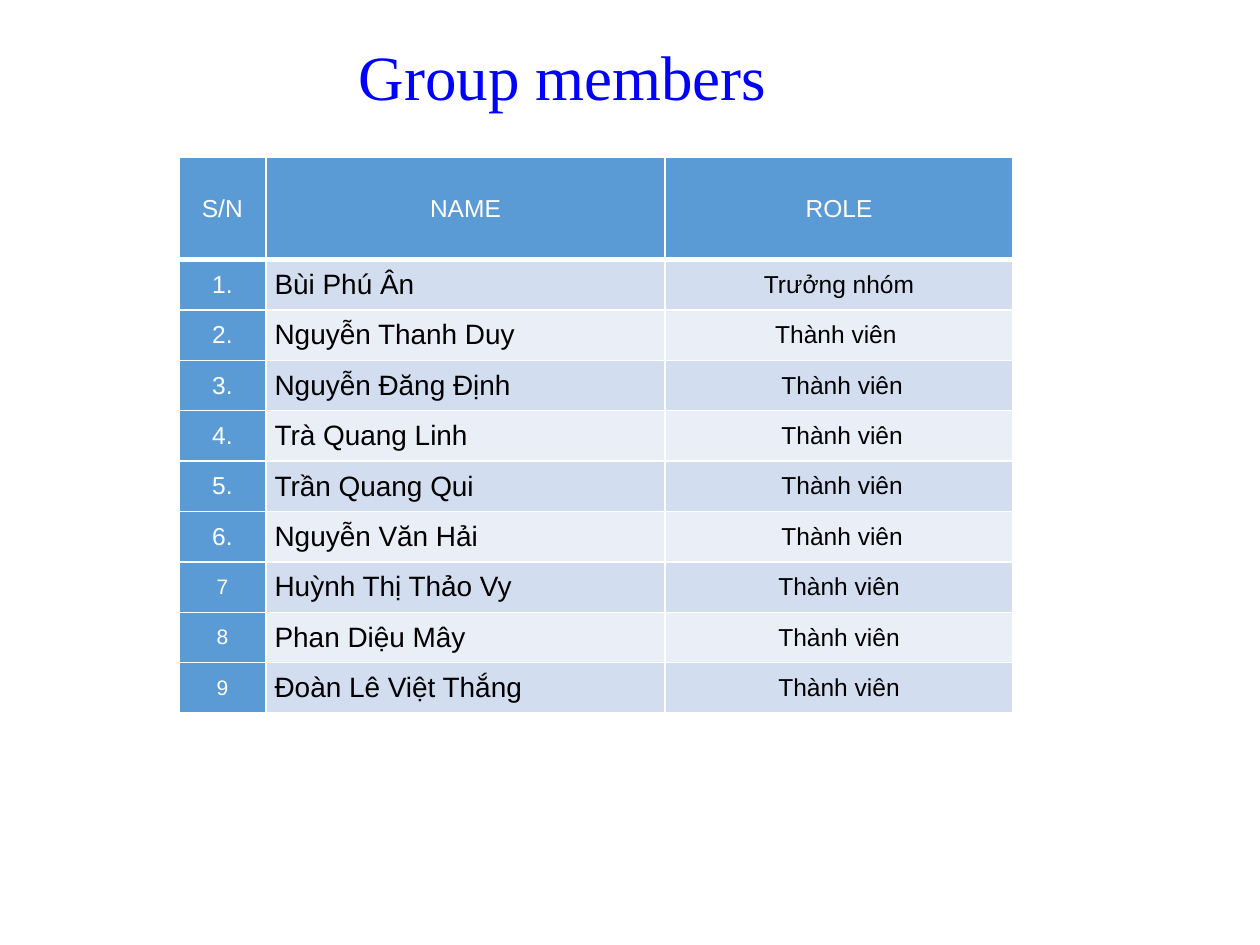
import pptx
import pptx.util
import pptx.dml.color
import pptx.enum.text
import pptx.oxml.ns
import lxml.etree

Inches, Pt = pptx.util.Inches, pptx.util.Pt
ALIGN = pptx.enum.text.PP_ALIGN

COLORS = {
    "title": "0000FF",
    "head": "5B9BD5",
    "odd": "D2DEEF",
    "even": "EAEFF7",
    "white": "FFFFFF",
    "black": "000000",
}
HEADS = ["S/N", "NAME", "ROLE"]
MEMBER = "Thành viên"
# number, name, role, extra inset of the role (left, right) in inches
ROWS = [
    ("1.", "Bùi Phú Ân", "Trưởng nhóm", (0, 0)),
    ("2.", "Nguyễn Thanh Duy", MEMBER, (0, 0.05)),
    ("3.", "Nguyễn Đăng Định", MEMBER, (0.05, 0)),
    ("4.", "Trà Quang Linh", MEMBER, (0.05, 0)),
    ("5.", "Trần Quang Qui", MEMBER, (0.05, 0)),
    ("6.", "Nguyễn Văn Hải", MEMBER, (0.05, 0)),
    ("7", "Huỳnh Thị Thảo Vy", MEMBER, (0, 0)),
    ("8", "Phan Diệu Mây", MEMBER, (0, 0)),
    ("9", "Đoàn Lê Việt Thắng", MEMBER, (0, 0)),
]
WIDTHS = [0.69, 3.17, 2.76]
HEAD_H, ROW_H = 0.81, 0.4
INSET = 0.07


class Deck:
    def __init__(self):
        self.show = pptx.Presentation()
        self.show.slide_width, self.show.slide_height = Inches(10), Inches(7.5)
        self.slide = self.show.slides.add_slide(self.show.slide_layouts[6])

    def color(self, key):
        return pptx.dml.color.RGBColor.from_string(COLORS[key])

    def style(self, frame, size, color, font="Arial", align=ALIGN.LEFT):
        for para in frame.paragraphs:
            para.alignment = align
            for run in para.runs:
                run.font.name, run.font.size = font, Pt(size)
                run.font.color.rgb = self.color(color)

    def title(self, text, left, top, width, height):
        box = self.slide.shapes.add_textbox(
            Inches(left), Inches(top), Inches(width), Inches(height))
        frame = box.text_frame
        frame.word_wrap = False
        frame.auto_size = pptx.enum.text.MSO_AUTO_SIZE.SHAPE_TO_FIT_TEXT
        frame.text = text
        self.style(frame, 36, "title", "Times New Roman")

    def table(self, left, top, widths, heights):
        grid = self.slide.shapes.add_table(
            len(heights), len(widths), Inches(left), Inches(top),
            Inches(sum(widths)), Inches(sum(heights))).table
        for col, width in zip(grid.columns, widths):
            col.width = Inches(width)
        for row, height in zip(grid.rows, heights):
            row.height = Inches(height)
        return grid

    def border(self, cell, base):
        """Draw white cell edges; base is the width of the bottom one."""
        name = pptx.oxml.ns.qn
        props = cell._tc.get_or_add_tcPr()
        for side, width in zip("LRTB", (1, 1, 1, base)):
            line = lxml.etree.SubElement(
                props, name("a:ln" + side), w=str(Pt(width)))
            fill = lxml.etree.SubElement(line, name("a:solidFill"))
            lxml.etree.SubElement(fill, name("a:srgbClr"), val=COLORS["white"])

    def cell(self, cell, text, fill, size=14, color="white",
             align=ALIGN.CENTER, base=1, extra=(0, 0)):
        self.border(cell, base)
        cell.fill.solid()
        cell.fill.fore_color.rgb = self.color(fill)
        cell.vertical_anchor = pptx.enum.text.MSO_ANCHOR.MIDDLE
        cell.margin_left = Inches(INSET + extra[0])
        cell.margin_right = Inches(INSET + extra[1])
        cell.margin_top = cell.margin_bottom = 0
        cell.text_frame.text = text
        self.style(cell.text_frame, size, color, align=align)


def main():
    deck = Deck()
    grid = deck.table(1.42, 1.25, WIDTHS, [HEAD_H] + [ROW_H] * len(ROWS))
    for col, head in enumerate(HEADS):
        deck.cell(grid.cell(0, col), head, "head", base=3)
    grid.cell(0, 2).text_frame.paragraphs[0].space_before = Pt(6)

    for row, (num, name, role, extra) in enumerate(ROWS, 1):
        band = "odd" if row % 2 else "even"
        deck.cell(grid.cell(row, 0), num, "head",
                  size=14 if num.endswith(".") else 12)
        deck.cell(grid.cell(row, 1), name, band, 16, "black", ALIGN.LEFT)
        deck.cell(grid.cell(row, 2), role, band, color="black", extra=extra)

    deck.title("Group members", 2.75, 0.25, 3.47, 0.71)
    deck.show.save("out.pptx")


if __name__ == "__main__":
    main()
